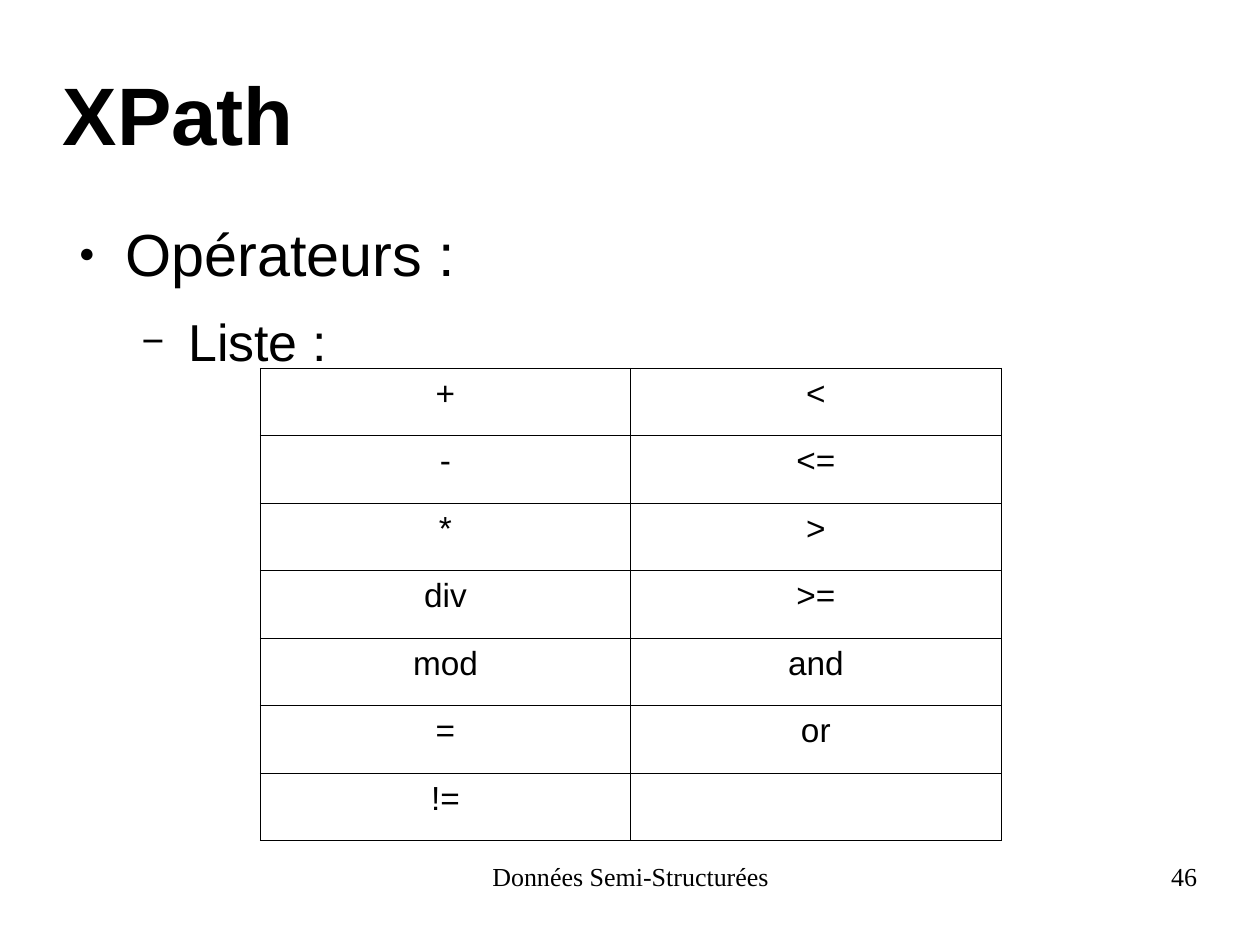
from lxml.etree import SubElement
from pptx import Presentation
from pptx.dml.color import RGBColor
from pptx.enum.text import MSO_ANCHOR, MSO_AUTO_SIZE, PP_ALIGN
from pptx.oxml import parse_xml
from pptx.oxml.ns import nsdecls, qn
from pptx.util import Pt

PX = 9144
COLORS = {"text": "000000", "border": "000000", "background": "FFFFFF"}
OPERATORS = [
    ("+", "<"),
    ("-", "<="),
    ("*", ">"),
    ("div", ">="),
    ("mod", "and"),
    ("=", "or"),
    ("!=", ""),
]
LIST_ITEMS = [
    ("Opérateurs :", 32, 14.2, "●", 45),
    ("Liste :", 28, 11.3, "−", 75),
]


class SlideBuilder:
    """Hold the style and the current slide, and add each kind of element."""

    def __init__(self, presentation):
        self.slide = presentation.slides.add_slide(presentation.slide_layouts[1])
        fill = self.slide.background.fill
        fill.solid()
        fill.fore_color.rgb = RGBColor.from_string(COLORS["background"])

    def place(self, shape, left, top, width, height):
        shape.left, shape.top = left * PX, top * PX
        shape.width, shape.height = width * PX, height * PX

    def prepare(self, text_frame, anchor=MSO_ANCHOR.TOP):
        text_frame.word_wrap = True
        text_frame.auto_size = MSO_AUTO_SIZE.NONE
        text_frame.vertical_anchor = anchor
        text_frame.margin_left = text_frame.margin_right = 0
        text_frame.margin_top = text_frame.margin_bottom = 0

    def format(self, paragraph, size, align=PP_ALIGN.LEFT, font="Arial", bold=False):
        paragraph.alignment = align
        for run in paragraph.runs:
            run.font.size = Pt(size)
            run.font.name = font
            run.font.bold = bold
            run.font.color.rgb = RGBColor.from_string(COLORS["text"])

    def title(self, text, *box):
        shape = self.slide.shapes.title
        self.place(shape, *box)
        self.prepare(shape.text_frame, MSO_ANCHOR.MIDDLE)
        shape.text_frame.text = text
        self.format(shape.text_frame.paragraphs[0], 44, bold=True)

    def bullet(self, paragraph, character, percent):
        properties = paragraph._p.get_or_add_pPr()
        properties.set("marL", str(47 * (paragraph.level + 1) * PX))
        properties.set("indent", str(-35 * PX))
        color = SubElement(properties, qn("a:buClr"))
        SubElement(color, qn("a:srgbClr")).set("val", COLORS["text"])
        SubElement(properties, qn("a:buSzPct")).set("val", str(percent * 1000))
        SubElement(properties, qn("a:buFont")).set("typeface", "Arial")
        SubElement(properties, qn("a:buChar")).set("char", character)

    def bullet_list(self, items, *box):
        shape = self.slide.placeholders[1]
        self.place(shape, *box)
        text_frame = shape.text_frame
        self.prepare(text_frame)
        text_frame.text = "\n".join(item[0] for item in items)
        for level, paragraph in enumerate(text_frame.paragraphs):
            text, size, space, character, percent = items[level]
            paragraph.level = level
            paragraph.space_before = Pt(space)
            self.format(paragraph, size)
            self.bullet(paragraph, character, percent)

    def borders(self, cell):
        properties = cell._tc.get_or_add_tcPr()
        for position, side in enumerate(("lnL", "lnR", "lnT", "lnB")):
            line = parse_xml(
                f'<a:{side} {nsdecls("a")} w="{Pt(0.57)}"><a:solidFill>'
                f'<a:srgbClr val="{COLORS["border"]}"/></a:solidFill></a:{side}>'
            )
            properties.insert(position, line)

    def table(self, rows, left, top, width, height):
        frame = self.slide.shapes.add_table(
            len(rows), len(rows[0]), left * PX, top * PX, width * PX, height * PX
        )
        table = frame.table
        table.first_row = table.horz_banding = False
        for row, texts in enumerate(rows):
            for column, text in enumerate(texts):
                cell = table.cell(row, column)
                cell.fill.background()
                cell.text_frame.text = text
                self.format(cell.text_frame.paragraphs[0], 18, PP_ALIGN.CENTER)
                self.borders(cell)

    def footer(self, text, align, left, top, width, height):
        shape = self.slide.shapes.add_textbox(
            left * PX, top * PX, width * PX, height * PX
        )
        self.prepare(shape.text_frame)
        shape.text_frame.text = text
        self.format(shape.text_frame.paragraphs[0], 14, align, "Times New Roman")


def main():
    presentation = Presentation()
    presentation.slide_width, presentation.slide_height = 944 * PX, 708 * PX
    builder = SlideBuilder(presentation)
    builder.title("XPath", 47, 28, 850, 113)
    builder.bullet_list(LIST_ITEMS, 47, 163, 850, 128)
    builder.table(OPERATORS, 195, 276, 555, 354)
    builder.footer("Données Semi-Structurées", PP_ALIGN.CENTER, 323, 645, 299, 49)
    builder.footer("46", PP_ALIGN.RIGHT, 677, 645, 220, 49)
    presentation.save("out.pptx")


if __name__ == "__main__":
    main()
